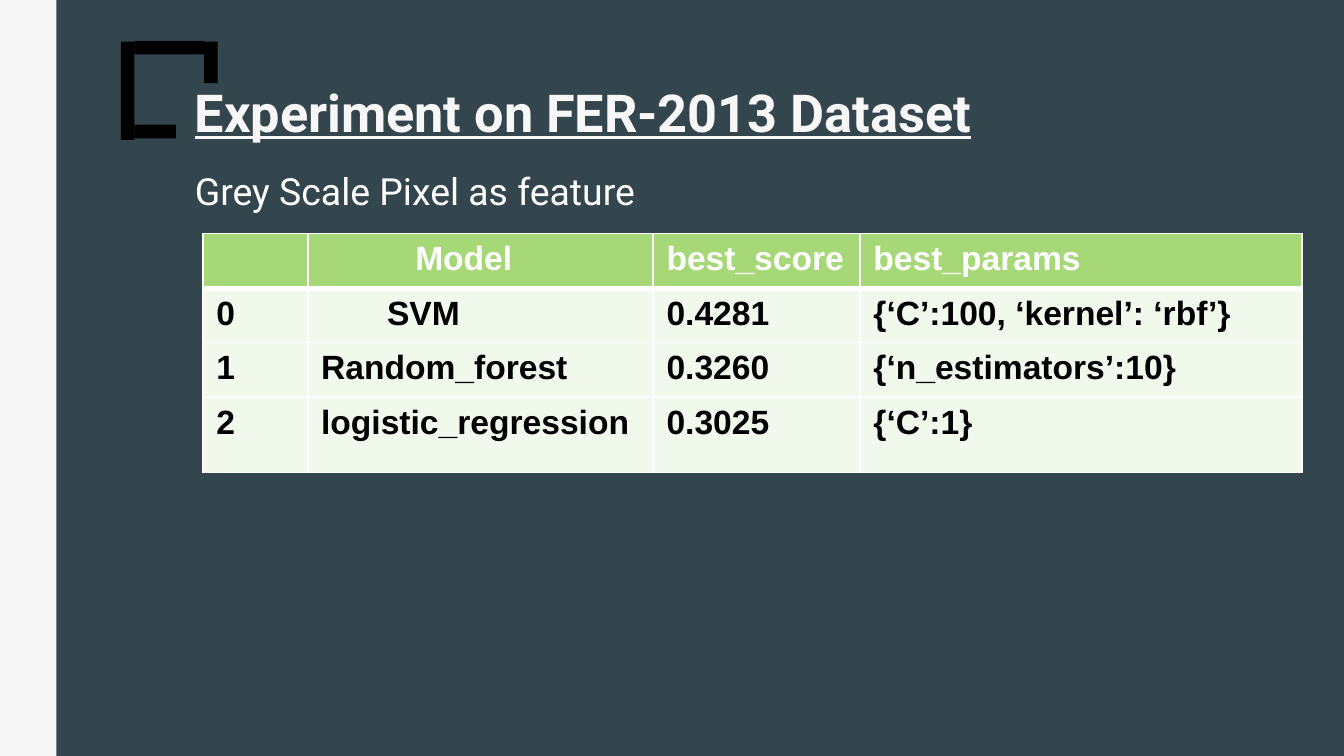
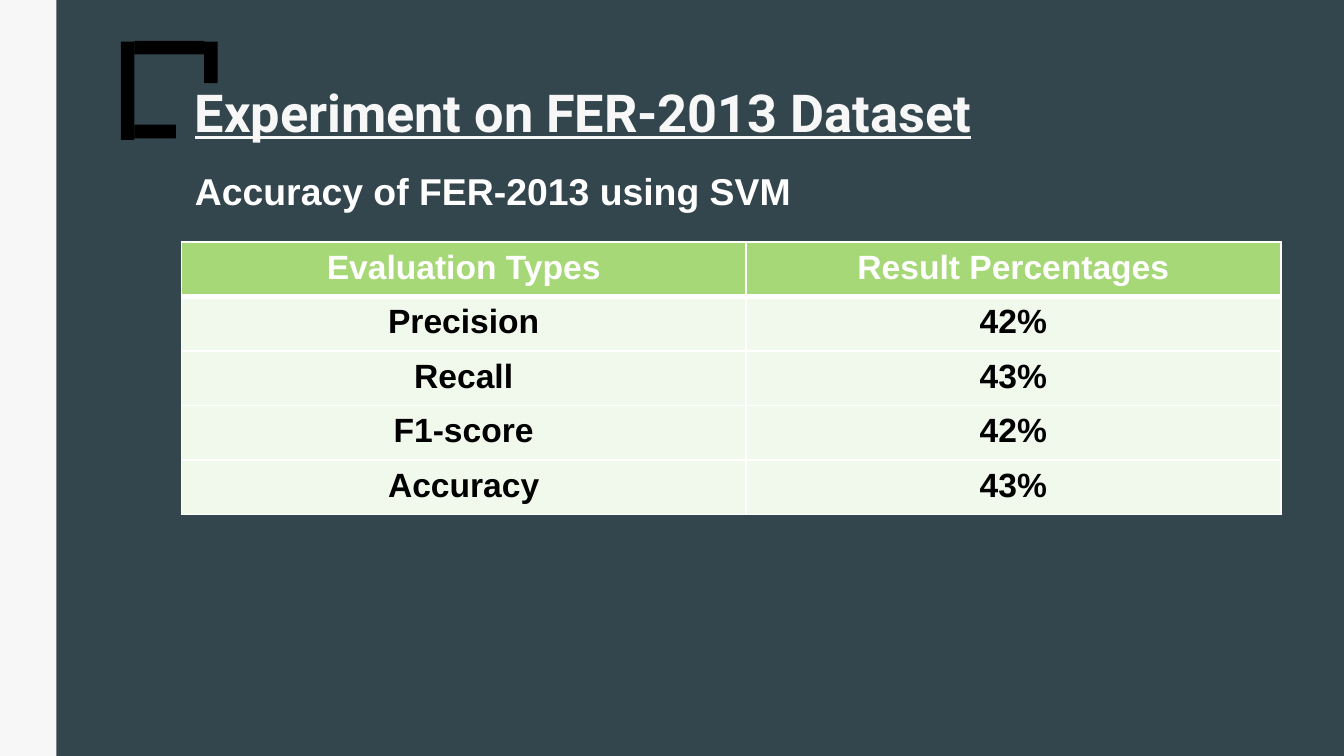
from lxml.etree import SubElement
from pptx import Presentation
from pptx.dml.color import RGBColor
from pptx.enum.shapes import MSO_SHAPE
from pptx.enum.text import MSO_ANCHOR, MSO_AUTO_SIZE, PP_ALIGN
from pptx.oxml import parse_xml
from pptx.oxml.ns import nsdecls, qn
from pptx.util import Inches, Pt

COLORS = {
    "background": "34464D",
    "band": "F7F7F7",
    "bracket": "000000",
    "white": "FFFFFF",
    "header": "A7D878",
    "row": "F1F8EC",
    "ink": "000000",
}
TITLE = {"name": "Roboto", "size": Pt(28), "bold": True, "underline": True}
CELL = {"name": "Arial", "size": Pt(18), "bold": True}

deck = Presentation()
deck.slide_width, deck.slide_height = Inches(10), Inches(5.625)
column, row = deck.slide_width / 100, deck.slide_height / 100


def place(shape, left, top, width, height):
    shape.left, shape.width = int(left * column), int(width * column)
    shape.top, shape.height = int(top * row), int(height * row)


def write(para, text, style, color):
    span = para.add_run()
    span.text = text
    for name, value in style.items():
        setattr(span.font, name, value)
    span.font.color.rgb = RGBColor.from_string(COLORS[color])


layout = deck.slide_layouts[1]
layout.background.fill.solid()
layout.background.fill.fore_color.rgb = RGBColor.from_string(COLORS["background"])
place(layout.placeholders[0], 13.5, 9.25, 78.1, 11)
place(layout.placeholders[1], 13.5, 20.4, 78.1, 64.5)

PAGES = [
    {
        "heading": "Grey Scale Pixel as feature",
        "style": {"name": "Roboto", "size": Pt(20)},
        "corner": (15.1, 30.9),
        "columns": [7.8, 25.7, 15.4, 32.9],
        "rows": [7.21, 7.21, 7.21, 10],
        "align": PP_ALIGN.LEFT,
        "margins": {"Model": 8, "SVM": 5.9},
        "cells": [
            ["", "Model", "best_score", "best_params"],
            ["0", "SVM", "0.4281", "{‘C’:100, ‘kernel’: ‘rbf’}"],
            ["1", "Random_forest", "0.3260", "{‘n_estimators’:10}"],
            ["2", "logistic_regression", "0.3025", "{‘C’:1}"],
        ],
    },
    {
        "heading": "Accuracy of FER-2013 using SVM",
        "style": {"name": "Arial", "size": Pt(20), "bold": True},
        "corner": (13.5, 32),
        "columns": [42, 39.8],
        "rows": [7.21] * 5,
        "align": PP_ALIGN.CENTER,
        "margins": {},
        "cells": [
            ["Evaluation Types", "Result Percentages"],
            ["Precision", "42%"],
            ["Recall", "43%"],
            ["F1-score", "42%"],
            ["Accuracy", "43%"],
        ],
    },
]

for content in PAGES:
    page = deck.slides.add_slide(layout)
    title, body = page.placeholders[0], page.placeholders[1]
    title.text_frame.vertical_anchor = MSO_ANCHOR.MIDDLE
    title.text_frame.auto_size = MSO_AUTO_SIZE.NONE
    para = title.text_frame.paragraphs[0]
    para.alignment = PP_ALIGN.LEFT
    write(para, "Experiment on FER-2013 Dataset", TITLE, "band")

    body.text_frame.auto_size = MSO_AUTO_SIZE.NONE
    body.text_frame.margin_top = Inches(0.1)
    para = body.text_frame.paragraphs[0]
    para.space_before = Pt(12)
    properties = para._p.get_or_add_pPr()
    properties.set("marL", "0")
    properties.set("indent", "0")
    SubElement(properties, qn("a:buNone"))
    write(para, content["heading"], content["style"], "white")

    widths, heights = content["columns"], content["rows"]
    frame = page.shapes.add_table(len(heights), len(widths), 0, 0, 0, 0)
    place(frame, *content["corner"], sum(widths), sum(heights))
    table = frame.table
    for index, width in enumerate(widths):
        table.columns[index].width = int(width * column)
    for index, height in enumerate(heights):
        table.rows[index].height = int(height * row)

    for row_index, texts in enumerate(content["cells"]):
        for column_index, text in enumerate(texts):
            cell = table.cell(row_index, column_index)
            cell.fill.solid()
            fill = "row" if row_index else "header"
            cell.fill.fore_color.rgb = RGBColor.from_string(COLORS[fill])
            if text in content["margins"]:
                cell.margin_left = int(content["margins"][text] * column)
            para = cell.text_frame.paragraphs[0]
            para.alignment = content["align"]
            if text:
                write(para, text, CELL, "ink" if row_index else "white")
            thick = {0: "lnB", 1: "lnT"}.get(row_index)
            for position, side in enumerate(["lnL", "lnR", "lnT", "lnB"]):
                line = parse_xml(
                    f'<a:{side} {nsdecls("a")} w="{Pt(3 if side == thick else 1)}">'
                    f'<a:solidFill><a:srgbClr val="{COLORS["white"]}"/></a:solidFill>'
                    f'</a:{side}>'
                )
                cell._tc.get_or_add_tcPr().insert(position, line)

DECORATIONS = [
    (10, 5.4, 5.2, 1.8, "bracket"),
    (9, 5.5, 1, 13, "bracket"),
    (15.2, 5.5, 1, 5.5, "bracket"),
    (10, 16.5, 3.1, 1.8, "bracket"),
    (0, 0, 4.2, 100, "band"),
]
for left, top, width, height, color in DECORATIONS:
    box = deck.slides[0].shapes.add_shape(MSO_SHAPE.RECTANGLE, 0, 0, 0, 0)
    place(box, left, top, width, height)
    box.shadow.inherit = False
    box.fill.solid()
    box.fill.fore_color.rgb = RGBColor.from_string(COLORS[color])
    box.line.fill.background()
    layout.shapes.element.append(box.element)

deck.save("out.pptx")
